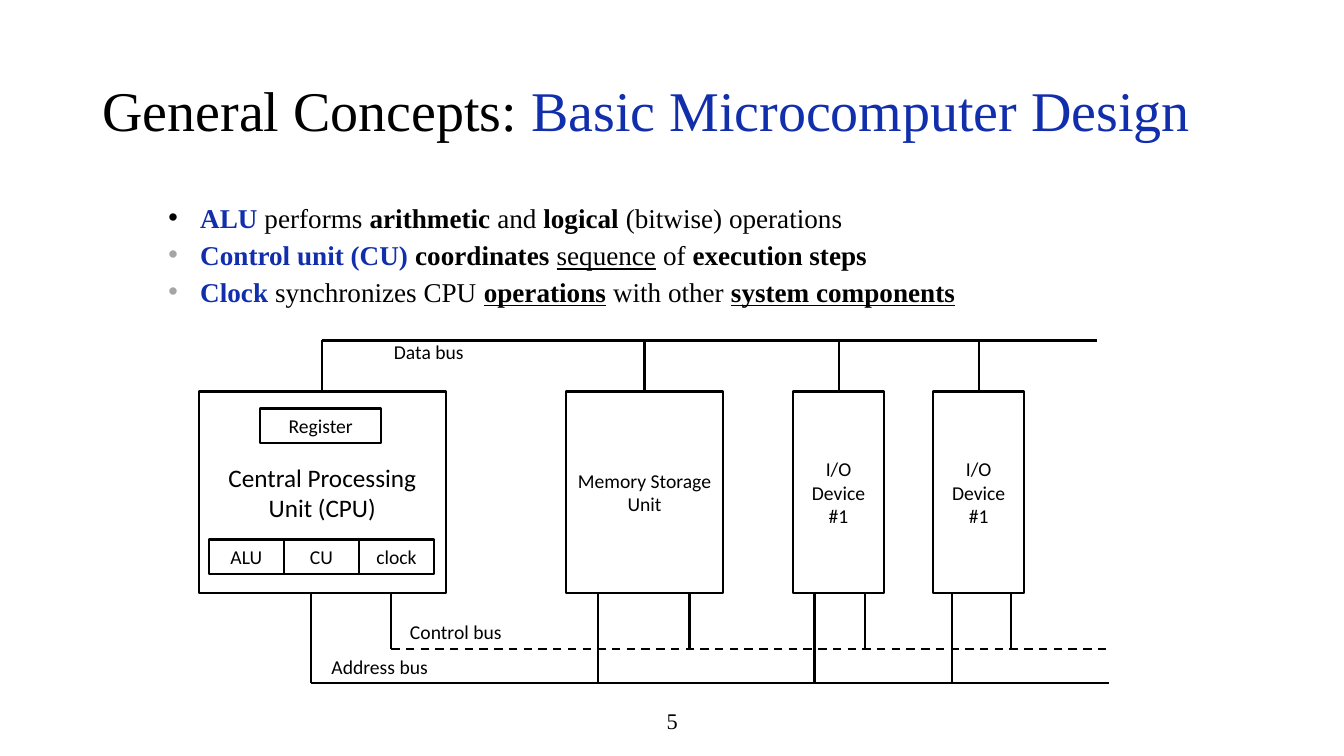
from lxml.etree import SubElement as Sub
from pptx import Presentation
from pptx.dml.color import RGBColor
from pptx.enum.dml import MSO_LINE as Dash
from pptx.enum.shapes import MSO_CONNECTOR as Conn, MSO_SHAPE as Shape
from pptx.enum.text import MSO_ANCHOR as Anchor, MSO_AUTO_SIZE as Auto, PP_ALIGN as Align
from pptx.oxml.ns import qn
from pptx.util import Pt

BLACK = RGBColor(0, 0, 0)
WHITE = RGBColor(255, 255, 255)
BLUE = RGBColor(0x11, 0x2E, 0xAC)
GRAY = RGBColor(0xA5, 0xA5, 0xA5)
SERIF, SANS = "Times New Roman", "Calibri"

TITLE = [("General Concepts: ", BLACK, ""), ("Basic Microcomputer Design", BLUE, "")]
POINTS = [
    [(" ", BLACK, ""), ("ALU", BLUE, "b"), (" performs ", BLACK, ""),
     ("arithmetic", BLACK, "b"), (" and ", BLACK, ""), ("logical ", BLACK, "b"),
     ("(bitwise) operations", BLACK, "")],
    [(" ", GRAY, "b"), ("Control unit (CU) ", BLUE, "b"), ("coordinates ", BLACK, "b"),
     ("sequence", BLACK, "u"), (" of ", BLACK, ""), ("execution steps", BLACK, "b")],
    [(" ", GRAY, "b"), ("Clock", BLUE, "b"), (" synchronizes CPU ", BLACK, ""),
     ("operations", BLACK, "bu"), (" with other ", BLACK, ""),
     ("system components", BLACK, "bu")],
]
UNITS = [
    ("Central Processing Unit (CPU)", 18, 0, 176.4, 80, 137.4),
    ("Memory Storage Unit", 14, 262.6, 111.6, 22.4, 87.9),
    ("I/O\nDevice\n#1", 14, 424.6, 64.8, 15.2, 51.2),
    ("I/O\nDevice\n#1", 14, 524.7, 64.8, 13, 55.5),
]
LABELS = [("Data bus", 132.3, -3.6), ("Control bus", 143.8, 196.2),
          ("Address bus", 87.7, 221.4)]


def style(font, face, size, color=BLACK):
    font.name, font.size, font.color.rgb = face, Pt(size), color


def place(item, box):
    item.left, item.top, item.width, item.height = map(Pt, box)


def fill_runs(para, parts, size):
    for text, color, marks in parts:
        run = para.add_run()
        run.text = text
        style(run.font, SERIF, size, color)
        run.font.bold = "b" in marks
        run.font.underline = "u" in marks


def add_title(slide, box):
    title = slide.shapes.title
    place(title, box)
    frame = title.text_frame
    frame.auto_size = Auto.NONE
    frame.vertical_anchor = Anchor.MIDDLE
    para = frame.paragraphs[0]
    para.alignment, para.line_spacing = Align.LEFT, 0.9
    fill_runs(para, TITLE, 40)


def add_points(slide, box):
    body = slide.placeholders[1]
    place(body, box)
    frame = body.text_frame
    frame.auto_size = Auto.NONE
    for num, parts in enumerate(POINTS):
        para = frame.add_paragraph() if num else frame.paragraphs[0]
        para.line_spacing, para.space_before = 0.7, Pt(10)
        props = para._p.get_or_add_pPr()
        props.set("marL", str(Pt(18)))
        props.set("indent", str(-Pt(18)))
        Sub(props, qn("a:buFont"), typeface="Arial")
        Sub(props, qn("a:buChar"), char="•")
        fill_runs(para, parts, 19.4)


def add_text(slide, text, box, face, size, align=Align.LEFT, anchor=Anchor.TOP):
    note = slide.shapes.add_textbox(*map(Pt, box))
    frame = note.text_frame
    frame.word_wrap, frame.vertical_anchor = True, anchor
    frame.text = text
    para = frame.paragraphs[0]
    para.alignment = align
    style(para.runs[0].font, face, size)


def add_block(slide, text, size, box):
    block = slide.shapes.add_shape(Shape.RECTANGLE, *map(Pt, box))
    block.shadow.inherit = False
    block.fill.solid()
    block.fill.fore_color.rgb = WHITE
    block.line.color.rgb, block.line.width = BLACK, Pt(1.5)
    frame = block.text_frame
    frame.word_wrap, frame.vertical_anchor = True, Anchor.MIDDLE
    frame.text = text
    for para in frame.paragraphs:
        para.alignment = Align.CENTER
        style(para.runs[0].font, SANS, size)
    return block


def add_line(slide, *ends):
    line = slide.shapes.add_connector(Conn.STRAIGHT, *map(Pt, ends))
    line.line.color.rgb, line.line.width = BLACK, Pt(1.5)
    Sub(line._element.spPr, qn("a:effectLst"))
    return line


def add_chart(slide, box):
    left, top, wide, high = box
    roof, tall = 36.5, 144
    floor = top + roof + tall
    base, mid = top + high, top + high - 23.7
    blocks = [add_block(slide, text, size, (left + x, top + roof, w, tall))
              for text, size, x, w, *_ in UNITS]
    add_block(slide, "Register", 14, (left + 43.9, top + 48.6, 86.4, 24.5))
    for num, text in enumerate(["ALU", "CU", "clock"]):
        add_block(slide, text, 14, (left + 7.2 + 53.6 * num, top + 142.2, 53.6, 24.5))

    add_line(slide, left + 88.2, top, left + wide - 8.6, top)
    dash = add_line(slide, left + 137.4, mid, left + wide, mid)
    dash.line.dash_style = Dash.DASH
    add_line(slide, left + 80, base, left + wide, base)
    for block, (_, _, x, w, low, side) in zip(blocks, UNITS):
        x += left
        tap = add_line(slide, x + w / 2, top, x + w / 2, top + roof)
        tap.end_connect(block, 0)
        add_line(slide, x + low, floor, x + low, base)
        add_line(slide, x + side, floor, x + side, mid)
    for text, x, y in LABELS:
        add_text(slide, text, (left + x, top + y, 115.2, 24.5), SANS, 14)


def main():
    deck = Presentation()
    deck.slide_width, deck.slide_height = Pt(960), Pt(540)
    slide = deck.slides.add_slide(deck.slide_layouts[1])
    add_title(slide, (66, 28.8, 828, 104.4))
    add_points(slide, (113, 146.9, 606.2, 95.8))
    add_chart(slide, (142, 243.2, 650, 244.4))
    add_text(slide, "5", (318.2, 500.4, 324, 28.8), SERIF, 16, Align.CENTER, Anchor.MIDDLE)
    deck.save("out.pptx")


if __name__ == "__main__":
    main()
